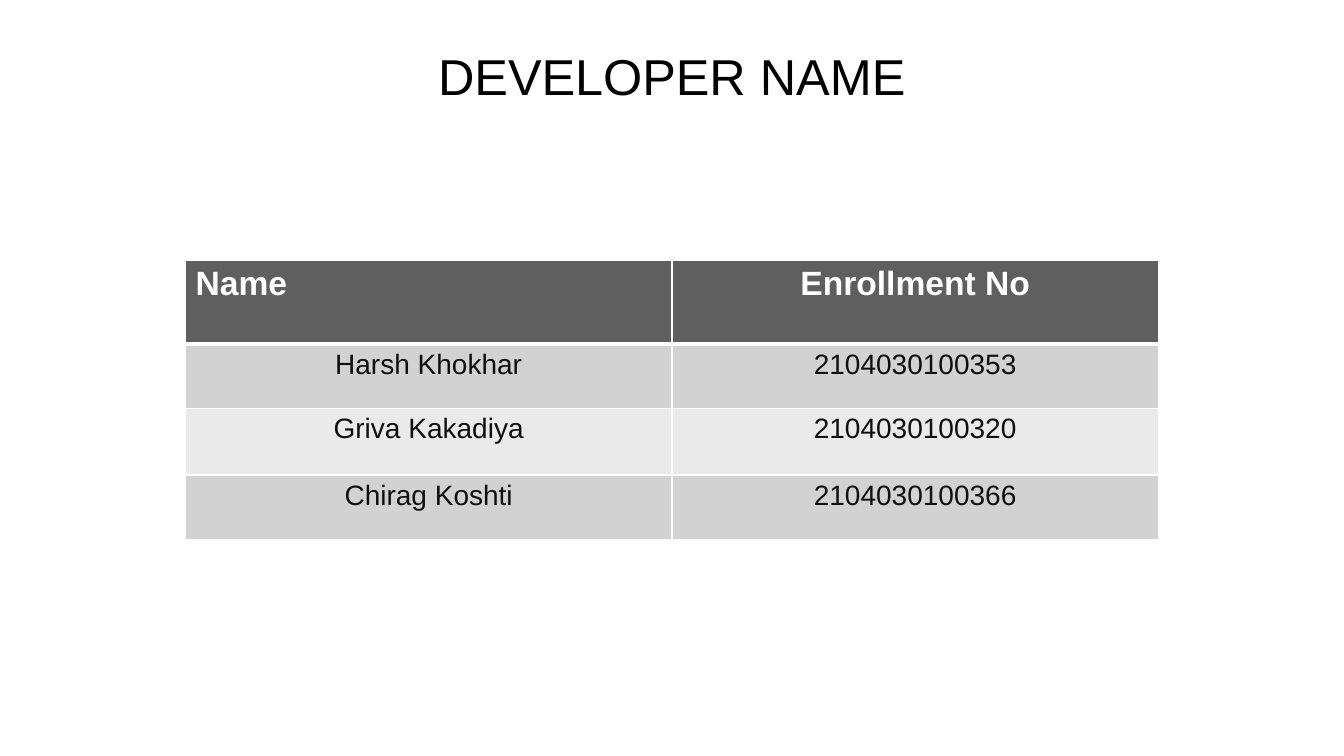
"""Build the developer name slide with its enrollment table."""
from lxml.etree import SubElement
from pptx import Presentation
from pptx.dml.color import RGBColor
from pptx.enum.text import MSO_ANCHOR as Anchor, PP_ALIGN as Align
from pptx.oxml.ns import qn
from pptx.util import Pt

COLORS = {
    "title": "000000",
    "header": "5F5F5F",
    "header_text": "FFFFFF",
    "odd_row": "D2D2D2",
    "even_row": "EAEAEA",
    "body_text": "0F0F0F",
    "border": "FFFFFF",
}
FONT = "Arial"
DEVELOPERS = [
    ("Name", "Enrollment No"),
    ("Harsh Khokhar", "2104030100353"),
    ("Griva Kakadiya", "2104030100320"),
    ("Chirag Koshti", "2104030100366"),
]
ROW_HEIGHTS = [60, 46, 47.5, 46]


def write(frame, text, size, color, align=Align.CENTER, bold=False):
    para = frame.paragraphs[0]
    para.text = text
    para.alignment = align
    para.font.name = FONT
    para.font.size = Pt(size)
    para.font.bold = bold
    para.font.color.rgb = RGBColor.from_string(COLORS[color])


def add_borders(cell, top, bottom):
    properties = cell._tc.get_or_add_tcPr()
    widths = {"a:lnL": 1, "a:lnR": 1, "a:lnT": top, "a:lnB": bottom}
    for position, (tag, width) in enumerate(widths.items()):
        line = SubElement(properties, qn(tag), w=str(Pt(width)))
        fill = SubElement(line, qn("a:solidFill"))
        SubElement(fill, qn("a:srgbClr"), val=COLORS["border"])
        properties.insert(position, line)


def add_title(page, left, top, width, height):
    box = page.shapes.add_textbox(Pt(left), Pt(top), Pt(width), Pt(height))
    frame = box.text_frame
    frame.word_wrap = True
    frame.vertical_anchor = Anchor.MIDDLE
    write(frame, "DEVELOPER NAME", 36, "title")


def add_developer_table(page, left, top, width):
    table = page.shapes.add_table(
        len(DEVELOPERS), len(DEVELOPERS[0]),
        Pt(left), Pt(top), Pt(width), Pt(sum(ROW_HEIGHTS)),
    ).table
    for row, height in zip(table.rows, ROW_HEIGHTS):
        row.height = Pt(height)
    for row_index, values in enumerate(DEVELOPERS):
        header = row_index == 0
        band = "header" if header else "odd_row" if row_index % 2 else "even_row"
        for column_index, value in enumerate(values):
            cell = table.cell(row_index, column_index)
            cell.fill.solid()
            cell.fill.fore_color.rgb = RGBColor.from_string(COLORS[band])
            add_borders(cell, 3 if row_index == 1 else 1, 3 if header else 1)
            write(
                cell.text_frame, value,
                24 if header else 20,
                "header_text" if header else "body_text",
                Align.LEFT if header and column_index == 0 else Align.CENTER,
                header,
            )


def main():
    deck = Presentation()
    deck.slide_width, deck.slide_height = Pt(960), Pt(540)
    page = deck.slides.add_slide(deck.slide_layouts[6])
    add_title(page, 48, 31, 864, 46)
    add_developer_table(page, 132.5, 185.8, 695)
    deck.save("out.pptx")


if __name__ == "__main__":
    main()
